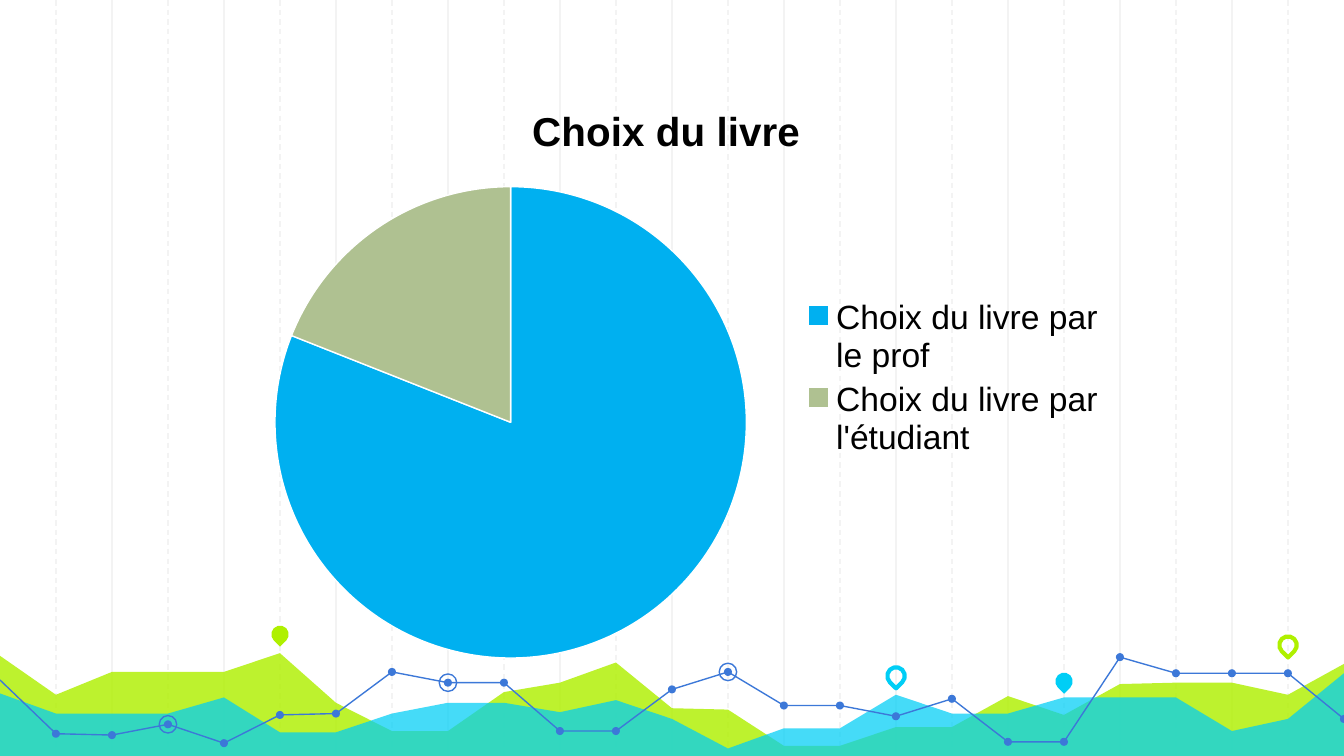
from lxml.etree import SubElement as Sub
from pptx import Presentation
from pptx.chart.data import CategoryChartData as Data
from pptx.dml.color import RGBColor
from pptx.enum.chart import XL_CHART_TYPE as Kind, XL_LEGEND_POSITION as Side
from pptx.enum.dml import MSO_LINE as Dash
from pptx.enum.shapes import MSO_CONNECTOR as Link, MSO_SHAPE as Form
from pptx.oxml.ns import qn
from pptx.util import Inches as In, Pt

WIDE, COLS = 10, 24
HIGH = WIDE * 9 / 16
STEP = WIDE / COLS
BASE = 5.65
GREY, LIME, CYAN, BLUE = "F3F3F3", "AFF000", "00CEF6", "3C78D8"

TITLE = "Choix du livre "
PARTS = [
    ("Choix du livre par le prof ", 81, "00B0F0"),
    ("Choix du livre par l'étudiant ", 19, "AFC191"),
]
BOX = (WIDE / 6, 0.59, WIDE * 2 / 3, 4.44)
PIE = {"x": 0.05, "y": 0.18, "w": 0.54, "h": 0.79}
FONTS = {
    "title": {"name": "Arial", "size": Pt(21.6), "bold": True},
    "legend": {"name": "Arial", "size": Pt(18), "bold": False},
}

HILLS = [
    (LIME, 82, [4.88, 5.17, 5, 5, 5, 4.86, 5.23, 5.44, 5.44, 5.15, 5.08, 4.93, 5.27,
                5.28, 5.55, 5.55, 5.41, 5.41, 5.18, 5.32, 5.09, 5.08, 5.08, 5.17, 4.94]),
    (CYAN, 73, [5.16, 5.31, 5.31, 5.31, 5.19, 5.45, 5.45, 5.31, 5.23, 5.23, 5.3, 5.21, 5.35,
                5.57, 5.42, 5.42, 5.17, 5.31, 5.31, 5.19, 5.19, 5.19, 5.44, 5.35, 5.01]),
]
TREND = [5.06, 5.46, 5.47, 5.39, 5.53, 5.32, 5.31, 5, 5.08, 5.08, 5.44, 5.44, 5.13,
         5, 5.25, 5.25, 5.33, 5.2, 5.52, 5.52, 4.89, 5.01, 5.01, 5.01, 5.35]
SPANS = [(0, 11), (11, 20), (20, 24)]
RINGS = [8, 3, 13]
PINS = [(5, 4.72, LIME, True), (16, 5.03, CYAN, False),
        (19, 5.07, CYAN, True), (23, 4.8, LIME, False)]
DOT, MARK = 0.06, 0.13


def rgb(code):
    return RGBColor.from_string(code)


def paint(shape, fill=None, line=None, width=0.75, alpha=None):
    shape.shadow.inherit = False
    if fill:
        shape.fill.solid()
        shape.fill.fore_color.rgb = rgb(fill)
        if alpha:
            tone = shape.fill._xPr.find(".//" + qn("a:srgbClr"))
            Sub(tone, qn("a:alpha"), val=str(alpha * 1000))
    else:
        shape.fill.background()
    if line:
        shape.line.color.rgb = rgb(line)
        shape.line.width = Pt(width)
    else:
        shape.line.fill.background()


def rule(col, dash=None):
    x = In(col * STEP)
    line = shapes.add_connector(Link.STRAIGHT, x, 0, x, In(BASE))
    line.line.color.rgb = rgb(GREY)
    line.line.width = Pt(0.75)
    if dash:
        line.line.dash_style = dash
    Sub(line._element.spPr, qn("a:effectLst"))


def trace(spots, close):
    pts = [(In(c * STEP), In(y)) for c, y in spots]
    pen = shapes.build_freeform(*pts[0])
    pen.add_line_segments(pts[1:], close=close)
    return pen.convert_to_shape()


def spot(form, col, y, size):
    left, top = col * STEP - size / 2, y - size / 2
    return shapes.add_shape(form, In(left), In(top), In(size), In(size))


def style(font, kind):
    for key, val in FONTS[kind].items():
        setattr(font, key, val)
    font.color.rgb = rgb("000000")


def add_pie():
    data = Data()
    data.categories = [name for name, _, _ in PARTS]
    data.add_series(TITLE, [val for _, val, _ in PARTS])
    chart = shapes.add_chart(Kind.PIE, *map(In, BOX), data).chart
    style(chart.font, "legend")
    chart.has_title = True
    chart.chart_title.text_frame.text = TITLE
    style(chart.chart_title.text_frame.paragraphs[0].runs[0].font, "title")
    chart.has_legend = True
    chart.legend.position = Side.RIGHT
    chart.legend.include_in_layout = False
    style(chart.legend.font, "legend")
    plot = chart.plots[0]
    plot.vary_by_categories = True
    for i, (_, _, code) in enumerate(PARTS):
        part = plot.series[0].points[i].format
        part.fill.solid()
        part.fill.fore_color.rgb = rgb(code)
        part.line.color.rgb = rgb("FFFFFF")
        part.line.width = Pt(0.75)
    area = chart._chartSpace.find(".//" + qn("c:plotArea"))
    frame = area.find(qn("c:layout"))
    if frame is None:
        frame = Sub(area, qn("c:layout"))
        area.insert(0, frame)
    place = Sub(frame, qn("c:manualLayout"))
    Sub(place, qn("c:layoutTarget"), val="inner")
    for key in "xy":
        Sub(place, qn(f"c:{key}Mode"), val="edge")
    for key, val in PIE.items():
        Sub(place, qn("c:" + key), val=str(val))


deck = Presentation()
deck.slide_width, deck.slide_height = In(WIDE), In(HIGH)
shapes = deck.slides.add_slide(deck.slide_layouts[6]).shapes

for col in range(2, COLS, 2):
    rule(col)
for col in range(1, COLS, 2):
    rule(col, Dash.DASH)
for code, alpha, tops in HILLS:
    hill = trace([*enumerate(tops), (COLS, BASE), (0, BASE)], True)
    paint(hill, fill=code, alpha=alpha)
for col, y, code, full in PINS:
    pin = spot(Form.TEAR, col, y, MARK)
    pin.rotation = 135
    paint(pin, fill=code if full else None, line=None if full else code, width=2.25)
for a, b in SPANS:
    paint(trace(list(enumerate(TREND))[a:b + 1], False), line=BLUE)
for col, y in list(enumerate(TREND))[1:]:
    paint(spot(Form.OVAL, col, y, DOT), fill=BLUE)
for col in RINGS:
    paint(spot(Form.OVAL, col, TREND[col], MARK), line=BLUE)
add_pie()

deck.save("out.pptx")
